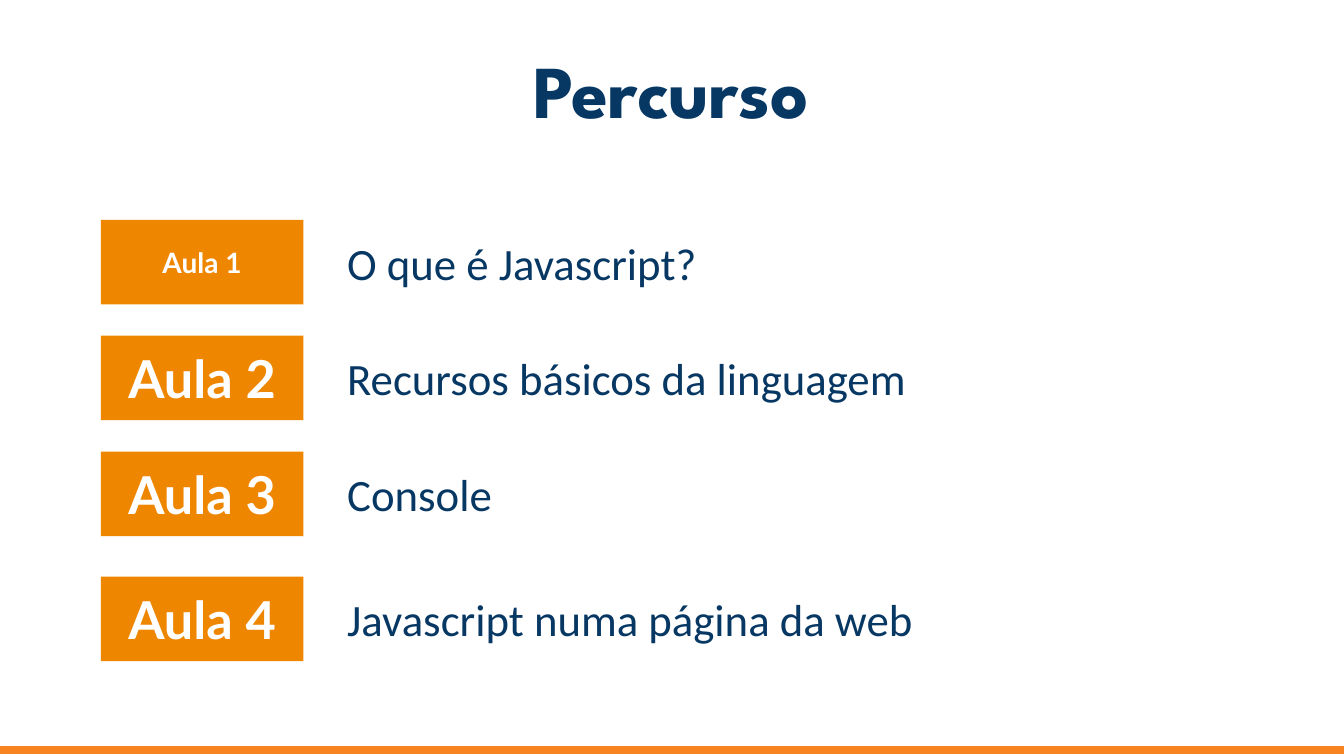
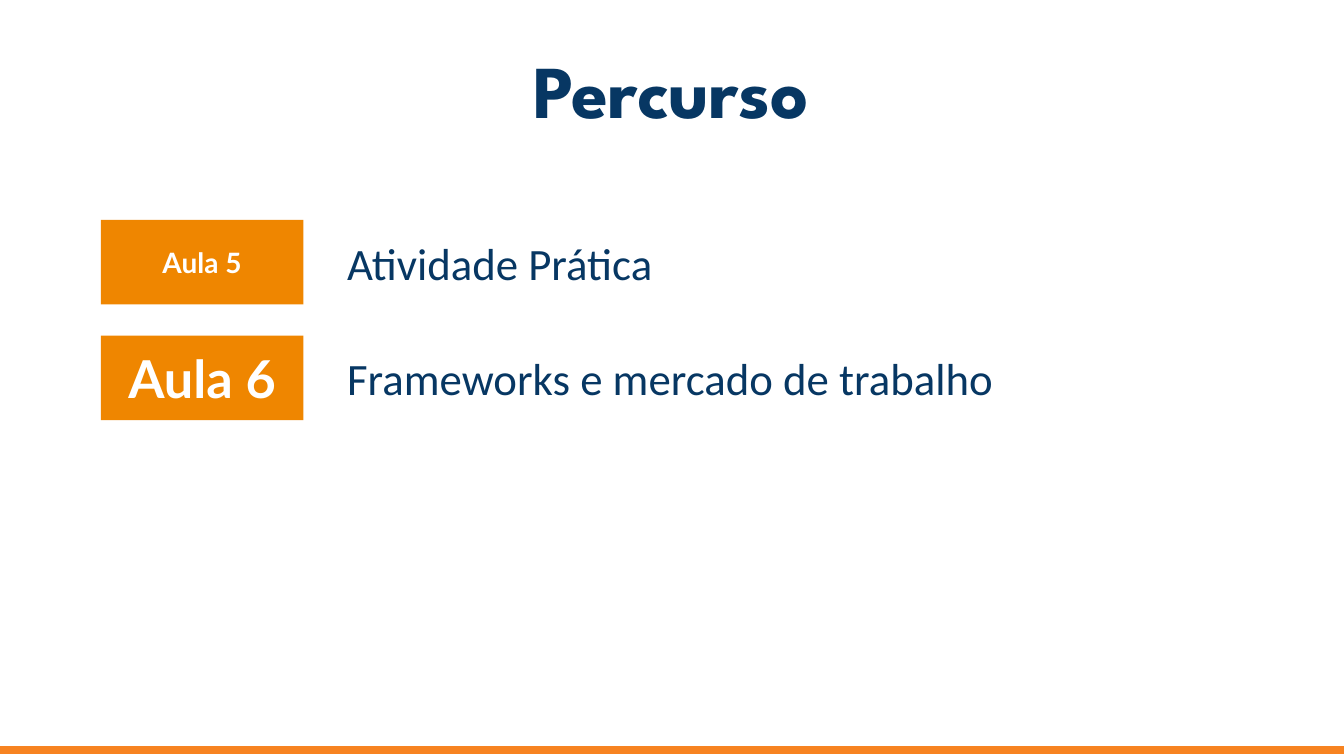
import pptx
import pptx.util
import pptx.dml.color
import pptx.enum.shapes
import pptx.enum.text

Cm = pptx.util.Cm
Pt = pptx.util.Pt
Align = pptx.enum.text.PP_ALIGN
Anchor = pptx.enum.text.MSO_ANCHOR

# Shared style
NAVY, WHITE = "073763", "FFFFFF"
TAG, BAND = "EF8600", "F78321"
WIDE, HIGH = 33.87, 19.05

# Row tops; the fourth row sits a little lower
TOPS = [5.54, 8.46, 11.38, 14.53]

# Each row: tag, tag size, topic, topic width
PAGES = [
    [("Aula 1", 20, "O que é Javascript?", 10.62),
     ("Aula 2", 37.3, "Recursos básicos da linguagem", 16),
     ("Aula 3", 37.3, "Console", 9.27),
     ("Aula 4", 37.3, "Javascript numa página da web", 16.1)],
    [("Aula 5", 20, "Atividade Prática", 10.62),
     ("Aula 6", 37.3, "Frameworks e mercado de trabalho", 18.21)],
]


def color(code):
    return pptx.dml.color.RGBColor.from_string(code)


def write(shape, text, size, font, code, bold=False, align=Align.LEFT,
          anchor=Anchor.MIDDLE, pad=0.34):
    frame = shape.text_frame
    frame.word_wrap = True
    frame.vertical_anchor = anchor
    frame.margin_left = frame.margin_right = Cm(0.34)
    frame.margin_top = frame.margin_bottom = Cm(pad)
    para = frame.paragraphs[0]
    para.alignment = align
    run = para.add_run()
    run.text = text
    run.font.size = Pt(size)
    run.font.name = font
    run.font.bold = bold
    run.font.color.rgb = color(code)


def add_box(slide, left, top, width, height):
    return slide.shapes.add_textbox(Cm(left), Cm(top), Cm(width), Cm(height))


def add_rect(slide, left, top, width, height, fill, line=None):
    rect = slide.shapes.add_shape(
        pptx.enum.shapes.MSO_SHAPE.RECTANGLE,
        Cm(left), Cm(top), Cm(width), Cm(height))
    rect.shadow.inherit = False
    rect.fill.solid()
    rect.fill.fore_color.rgb = color(fill)
    if line:
        rect.line.color.rgb = color(line)
        rect.line.width = Pt(0.75)
    else:
        rect.line.fill.background()
    return rect


def add_page(deck, title):
    slide = deck.slides.add_slide(deck.slide_layouts[6])
    write(add_box(slide, 1.14, 1.14, 31.55, 2.18), title, 53.3,
          "League Spartan", NAVY, bold=True, align=Align.CENTER)
    add_rect(slide, 0, 18.8, WIDE, 0.2, BAND, BAND)
    return slide


def add_row(slide, top, tag, size, topic, width):
    write(add_rect(slide, 2.54, top, 5.11, 2.13, TAG), tag, size,
          "Lato", WHITE, bold=True, align=Align.CENTER)
    write(add_box(slide, 8.41, top + 0.22, width, 1.7), topic, 32,
          "Calibri", NAVY, anchor=Anchor.TOP, pad=0.17)


def main():
    deck = pptx.Presentation()
    deck.slide_width, deck.slide_height = Cm(WIDE), Cm(HIGH)
    for rows in PAGES:
        slide = add_page(deck, "Percurso")
        for top, row in zip(TOPS, rows):
            add_row(slide, top, *row)
    deck.save("out.pptx")


main()
